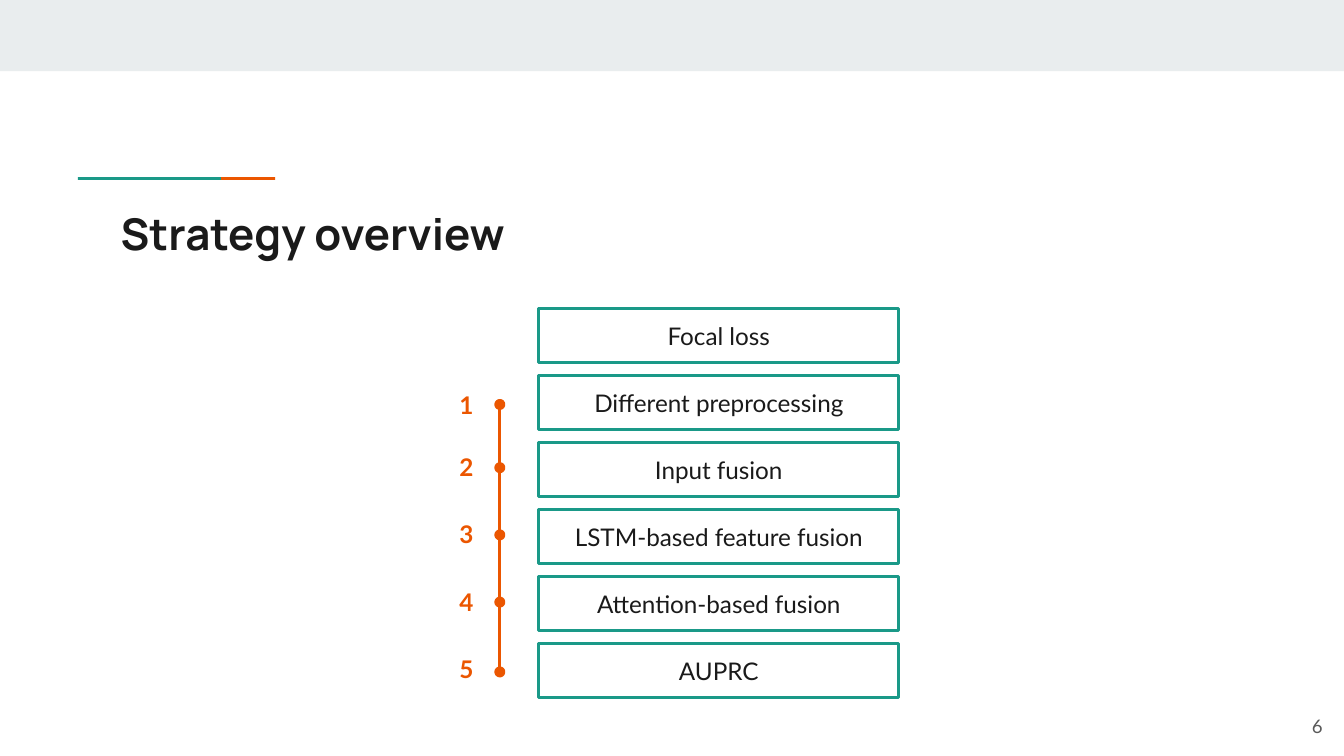
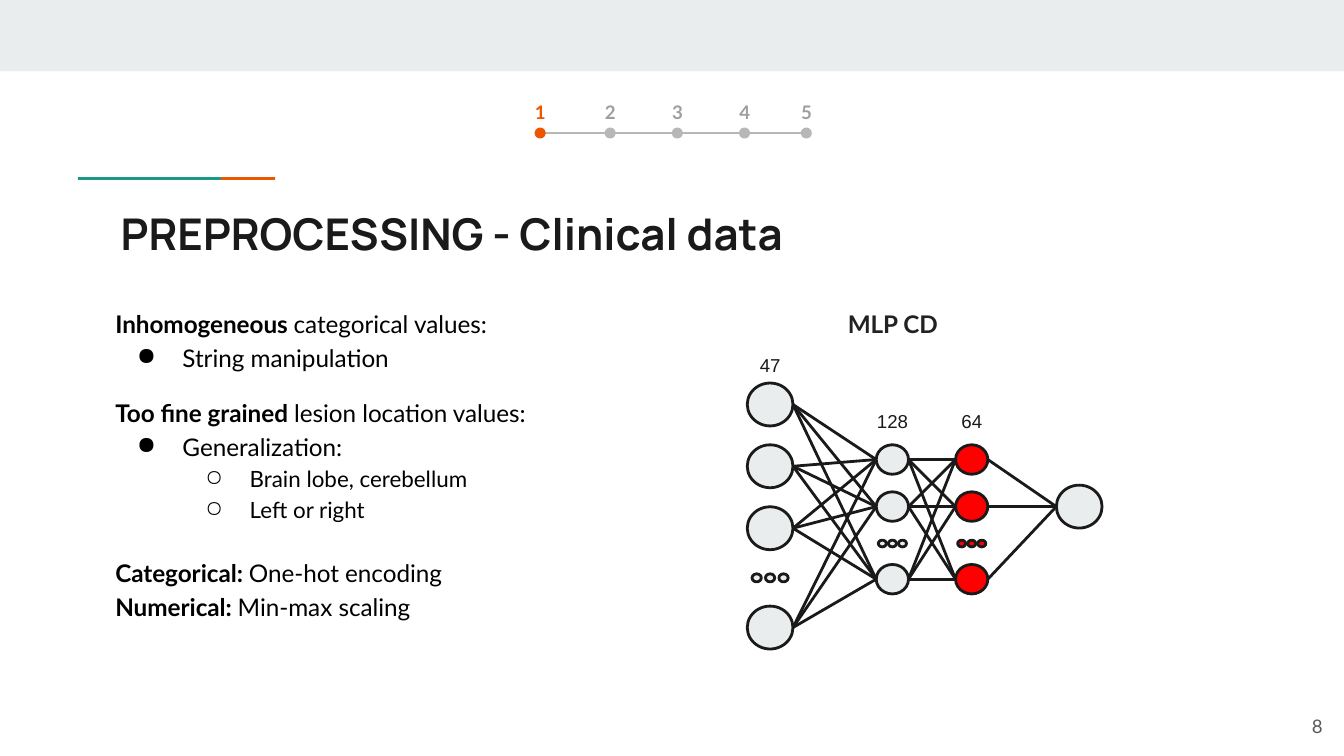
from itertools import pairwise, product

from lxml.etree import SubElement
from pptx import Presentation
from pptx.dml.color import RGBColor
from pptx.enum.shapes import MSO_CONNECTOR, MSO_SHAPE
from pptx.enum.text import MSO_ANCHOR, PP_ALIGN
from pptx.oxml.ns import qn
from pptx.util import Pt

WHITE = RGBColor(0xFF, 0xFF, 0xFF)
BLACK = RGBColor(0x00, 0x00, 0x00)
INK = RGBColor(0x1A, 0x1A, 0x1A)
CHARCOAL = RGBColor(0x22, 0x22, 0x22)
SLATE = RGBColor(0x59, 0x59, 0x59)
MUTED = RGBColor(0x9E, 0x9E, 0x9E)
SILVER = RGBColor(0xB7, 0xB7, 0xB7)
MIST = RGBColor(0xE9, 0xED, 0xEE)
TEAL = RGBColor(0x1A, 0x99, 0x88)
ORANGE = RGBColor(0xEB, 0x56, 0x00)
RED = RGBColor(0xFF, 0x00, 0x00)

STRATEGIES = [
    "Focal loss",
    "Different preprocessing",
    "Input fusion",
    "LSTM-based feature fusion",
    "Attention-based fusion",
    "AUPRC",
]

BULLETS = {0: ("●", 36, -24.5), 1: ("○", 72, -23.8)}

CLINICAL_POINTS = [
    ("Inhomogeneous ", "categorical values:", None, 13, 0),
    ("", "String manipulation", 0, 13, 0),
    ("Too fine grained", " lesion location values:", None, 13, 12),
    ("", "Generalization:", 0, 13, 0),
    ("", "Brain lobe, cerebellum", 1, 12, 0),
    ("", "Left or right", 1, 12, 0),
    ("Categorical: ", "One-hot encoding", None, 13, 16.6),
    ("Numerical: ", "Min-max scaling", None, 13, 0),
]

HIDDEN_ROWS = [246.2, 271.4, 310.3]


class Deck:
    def __init__(self):
        self.presentation = Presentation()
        self.presentation.slide_width = Pt(720)
        self.presentation.slide_height = Pt(405)
        self.slide = None

    def start(self, title, number):
        self.slide = self.presentation.slides.add_slide(self.presentation.slide_layouts[6])
        self.slide.background.fill.solid()
        self.slide.background.fill.fore_color.rgb = WHITE
        self.shape(MSO_SHAPE.RECTANGLE, 0, 0, 720, 38.2, fill=MIST)
        self.shape(MSO_SHAPE.RECTANGLE, 41.8, 94.9, 76.6, 1.5, fill=TEAL)
        self.shape(MSO_SHAPE.RECTANGLE, 118.4, 94.9, 29, 1.5, fill=ORANGE)
        self.text(title, 57.6, 103.7, 605.5, 42.5, 23.4, INK, "Manrope", bold=True)
        self.text(number, 672.5, 373.7, 43.2, 31, 10, SLATE,
                  align=PP_ALIGN.RIGHT, anchor=MSO_ANCHOR.MIDDLE)

    def shape(self, kind, left, top, width, height, fill=None, line=None, weight=1.5):
        shape = self.slide.shapes.add_shape(kind, Pt(left), Pt(top), Pt(width), Pt(height))
        shape.shadow.inherit = False
        if fill is None:
            shape.fill.background()
        else:
            shape.fill.solid()
            shape.fill.fore_color.rgb = fill
        if line is None:
            shape.line.fill.background()
        else:
            shape.line.color.rgb = line
            shape.line.width = Pt(weight)
        return shape

    def circle(self, x, y, width, height, fill, line=INK, weight=1.5):
        self.shape(MSO_SHAPE.OVAL, x - width / 2, y - height / 2, width, height,
                   fill, line, weight)

    def line(self, start, end, color=INK):
        connector = self.slide.shapes.add_connector(
            MSO_CONNECTOR.STRAIGHT, *(Pt(length) for length in (*start, *end)))
        connector.line.color.rgb = color
        connector.line.width = Pt(1.5)
        SubElement(connector._element.spPr, qn("a:effectLst"))

    def frame(self, shape, anchor):
        frame = shape.text_frame
        frame.word_wrap = True
        frame.vertical_anchor = anchor
        frame.margin_left = frame.margin_right = Pt(7.2)
        frame.margin_top = frame.margin_bottom = Pt(7.2)
        return frame

    def text_box(self, left, top, width, height, anchor=MSO_ANCHOR.TOP):
        box = self.slide.shapes.add_textbox(Pt(left), Pt(top), Pt(width), Pt(height))
        return self.frame(box, anchor)

    def style(self, run, size, color, font="Lato", bold=False):
        run.font.size = Pt(size)
        run.font.name = font
        run.font.bold = bold
        run.font.color.rgb = color

    def text(self, words, left, top, width, height, size, color, font="Lato",
             bold=False, align=PP_ALIGN.LEFT, anchor=MSO_ANCHOR.TOP):
        paragraph = self.text_box(left, top, width, height, anchor).paragraphs[0]
        paragraph.text = words
        paragraph.alignment = align
        self.style(paragraph.runs[0], size, color, font, bold)
        return paragraph

    def label(self, words, x, y, width, height, size, color, font="Lato", bold=False):
        self.text(words, x - width / 2, y - height / 2, width, height, size, color,
                  font, bold, PP_ALIGN.CENTER, MSO_ANCHOR.MIDDLE)

    def framed_label(self, words, left, top, width, height):
        box = self.shape(MSO_SHAPE.RECTANGLE, left, top, width, height, line=TEAL)
        paragraph = self.frame(box, MSO_ANCHOR.MIDDLE).paragraphs[0]
        paragraph.text = words
        paragraph.alignment = PP_ALIGN.CENTER
        self.style(paragraph.runs[0], 13, INK)

    def timeline(self, stops, label_spots, size, line_color, dot_colors, label_colors):
        for start, end in pairwise(stops):
            self.line(start, end, line_color)
        steps = zip(stops, label_spots, dot_colors, label_colors)
        for number, (stop, spot, dot_color, label_color) in enumerate(steps, 1):
            self.circle(*stop, 2.9, 2.9, CHARCOAL, dot_color, 3)
            self.label(str(number), *spot, 23, 20.9, size, label_color, bold=True)

    def outline(self, entries, left, top, width, height):
        frame = self.text_box(left, top, width, height)
        for index, (lead, rest, level, size, gap) in enumerate(entries):
            paragraph = frame.add_paragraph() if index else frame.paragraphs[0]
            if level is not None:
                self.bullet(paragraph, level)
            paragraph.line_spacing = 1.15
            paragraph.space_before = Pt(gap)
            for words, bold in ((lead, True), (rest, False)):
                if words:
                    run = paragraph.add_run()
                    run.text = words
                    self.style(run, size, BLACK, bold=bold)

    def bullet(self, paragraph, level):
        symbol, margin, indent = BULLETS[level]
        paragraph.level = level
        properties = paragraph._p.get_or_add_pPr()
        properties.set("marL", str(Pt(margin)))
        properties.set("indent", str(Pt(indent)))
        color = SubElement(properties, qn("a:buClr"))
        SubElement(color, qn("a:srgbClr"), val=str(BLACK))
        SubElement(properties, qn("a:buChar"), char=symbol)

    def layer(self, x, rows, width, height, fill):
        for y in rows:
            self.circle(x, y, width, height, fill)

    def ellipsis(self, x, y, pitch, width, height, fill):
        for offset in (-pitch, 0, pitch):
            self.circle(x + offset, y, width, height, fill)

    def synapses(self, left, left_rows, right, right_rows):
        for start, end in product(left_rows, right_rows):
            self.line((left, start), (right, end))


def strategy_overview(deck):
    deck.start("Strategy overview", "6")
    for row, strategy in enumerate(STRATEGIES):
        deck.framed_label(strategy, 288.5, 165.4 + 35.9 * row, 193, 28.8)
    stops = [(267.8, y) for y in (216.7, 250.6, 286.6, 322.6, 360)]
    label_spots = [(249.8, y) for y in (217.1, 250.2, 286.2, 322.2, 358.2)]
    deck.timeline(stops, label_spots, 13, ORANGE, [ORANGE] * 5, [ORANGE] * 5)


def clinical_preprocessing(deck):
    deck.start("PREPROCESSING - Clinical data", "8")
    deck.outline(CLINICAL_POINTS, 54.7, 156.2, 305.3, 188.6)

    input_rows = [216.7, 249.8, 283, 336.2]
    output_rows = [271.4]
    deck.layer(412.6, input_rows, 24.5, 23, MIST)
    deck.ellipsis(412.6, 309.6, 7.2, 5, 4.3, MIST)
    for x, fill in ((478.1, MIST), (520.6, RED)):
        deck.layer(x, HIDDEN_ROWS, 17.3, 15.8, fill)
        deck.ellipsis(x, 291.2, 5.4, 4.3, 3.6, fill)
    deck.layer(578.2, output_rows, 24.5, 23, MIST)

    for units, x, y in (("47", 412.6, 195.5), ("128", 478.1, 225.7), ("64", 520.6, 225.7)):
        deck.label(units, x, y, 46, 35.3, 10, INK, "Arial")
    deck.synapses(424.8, input_rows, 469.4, HIDDEN_ROWS)
    deck.synapses(486.7, HIDDEN_ROWS, 511.9, HIDDEN_ROWS)
    deck.synapses(529.2, HIDDEN_ROWS, 565.9, output_rows)

    network_name = deck.text("MLP CD", 447.1, 156.2, 62.6, 31, 13, CHARCOAL, bold=True)
    network_name.line_spacing = 1.15
    network_name.space_after = Pt(12)

    columns = [289.4, 326.9, 362.9, 398.9, 432]
    deck.timeline([(x, 71.3) for x in columns], [(x, 60.1) for x in columns], 10, SILVER,
                  [ORANGE] + [SILVER] * 4, [ORANGE] + [MUTED] * 4)


def main():
    deck = Deck()
    strategy_overview(deck)
    clinical_preprocessing(deck)
    deck.presentation.save("out.pptx")


if __name__ == "__main__":
    main()
